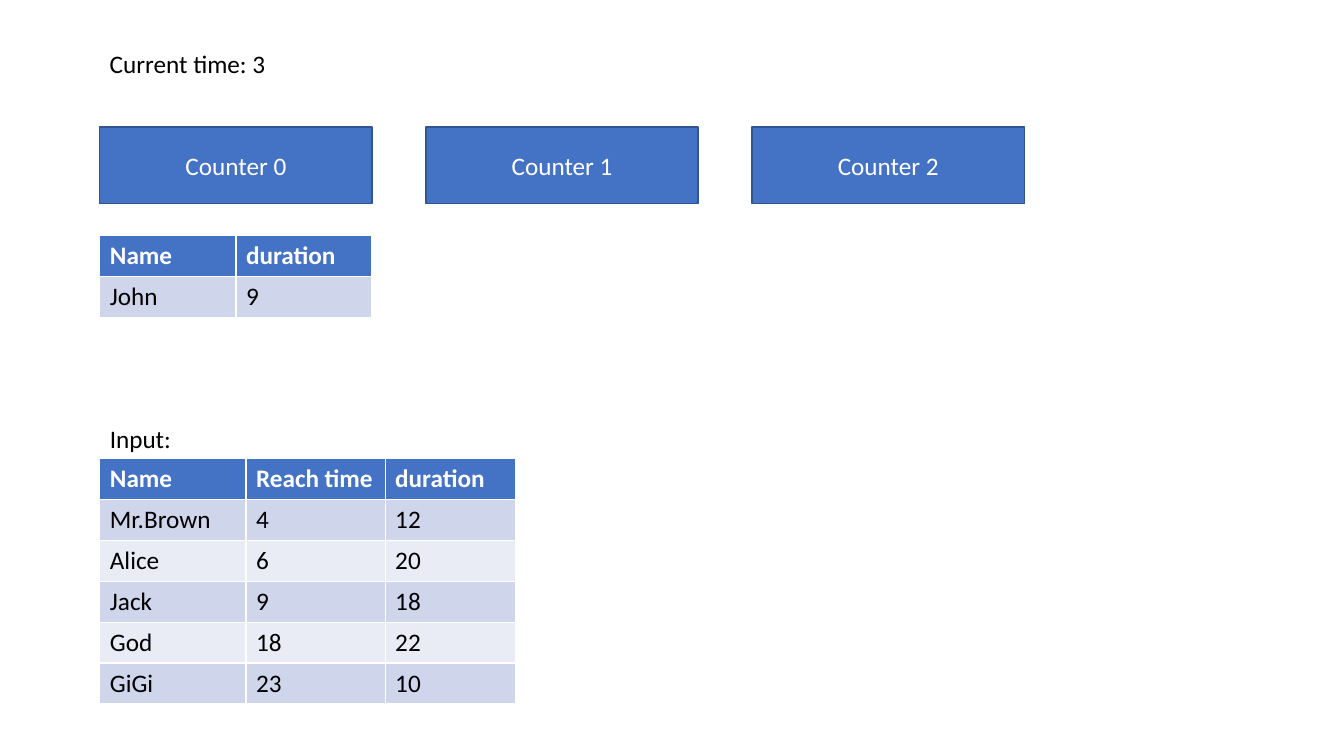
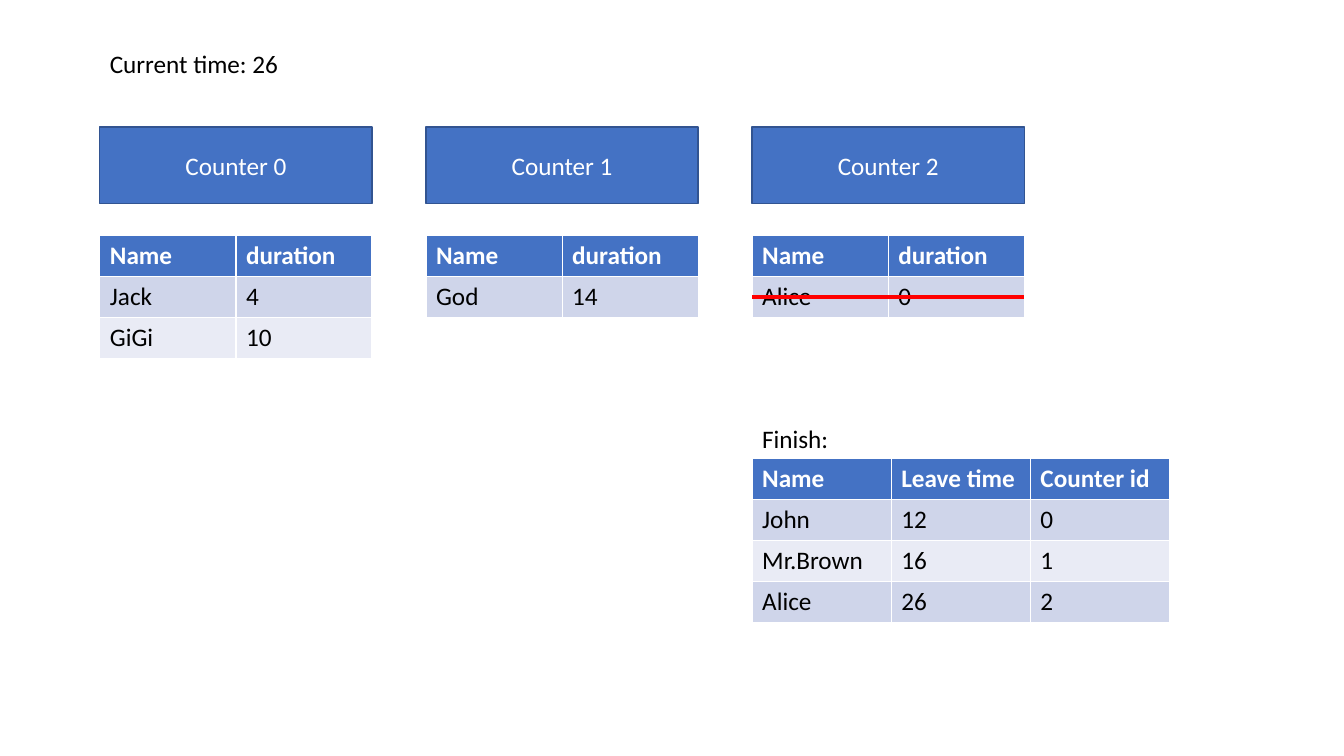
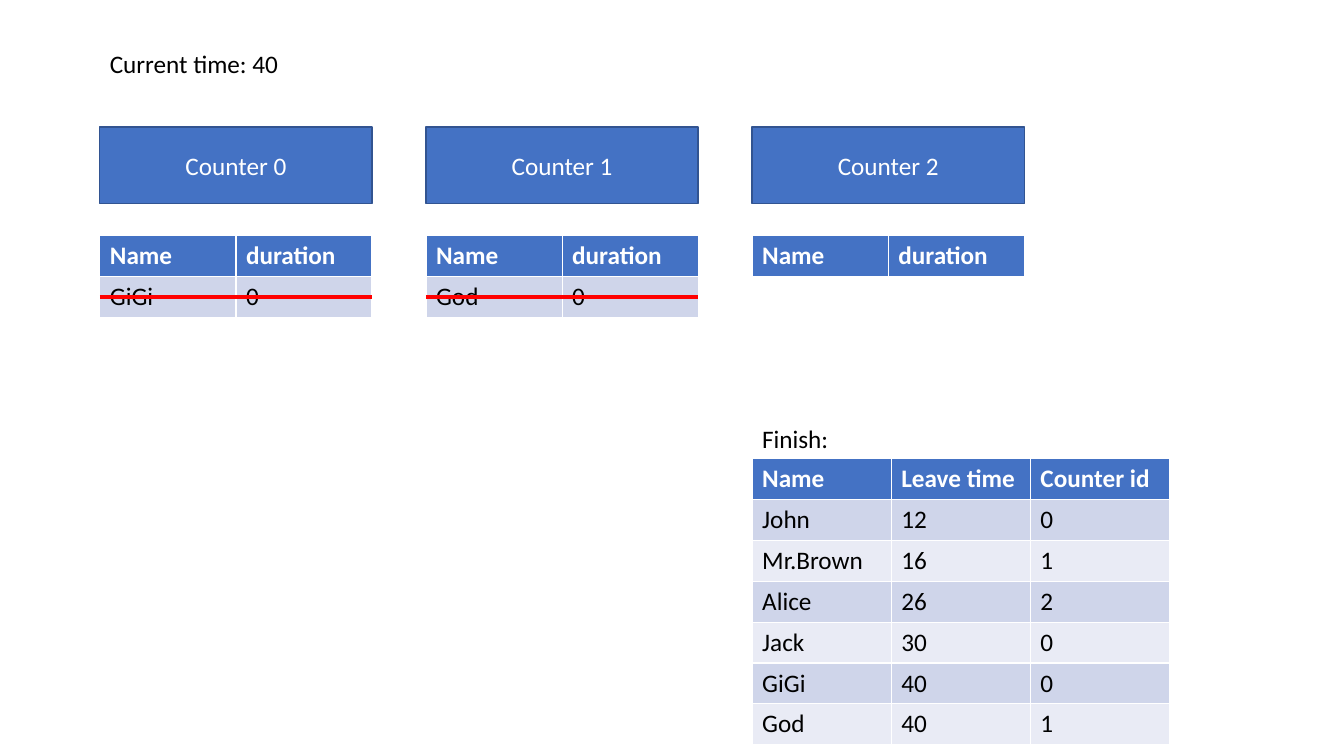
from pptx import Presentation
from pptx.dml.color import RGBColor
from pptx.enum.shapes import MSO_CONNECTOR as Connector, MSO_SHAPE as Shape
from pptx.enum.text import MSO_ANCHOR as Anchor, MSO_AUTO_SIZE as AutoSize, PP_ALIGN as Align
from pptx.oxml.ns import qn
from pptx.util import Inches, Pt
from lxml import etree

# Content: each queue is (customers, number of them struck out); None hides it
QUEUE_HEAD = ("Name", "duration")
INPUT_HEAD = ("Name", "Reach time", "duration")
FINISH_HEAD = ("Name", "Leave time", "Counter id")
ARRIVALS = [("Mr.Brown", 4, 12), ("Alice", 6, 20), ("Jack", 9, 18),
            ("God", 18, 22), ("GiGi", 23, 10)]
DEPARTURES = [("John", 12, 0), ("Mr.Brown", 16, 1), ("Alice", 26, 2),
              ("Jack", 30, 0), ("GiGi", 40, 0), ("God", 40, 1)]
MOMENTS = [
    {"time": 3, "queues": [([("John", 9)], 0), None, None]},
    {"time": 26, "queues": [([("Jack", 4), ("GiGi", 10)], 0),
                            ([("God", 14)], 0),
                            ([("Alice", 0)], 1)]},
    {"time": 40, "queues": [([("GiGi", 0)], 1), ([("God", 0)], 1), ([], 0)]},
]

# Shared look
FONT, SIZE = "Calibri", Pt(18)
BLUE, EDGE, RED = "4472C4", "325491", "FF0000"
WHITE, BLACK = "FFFFFF", "000000"
BANDS = ("CFD5EA", "E9EBF5")

# Shared layout
FIRST_LEFT, LAST_LEFT = Inches(0.99), Inches(7.46)
COUNTERS = 3
COUNTER_WIDTH = Inches(2.7)
QUEUE_TOP, LOG_TOP = Inches(2.34), Inches(4.55)
LABEL_HEIGHT = Inches(0.4)
ROW_HEIGHT = Pt(29.2)
QUEUE_WIDTHS = (1.35, 1.35)
INPUT_WIDTHS = (1.45, 1.38, 1.29)
FINISH_WIDTHS = (1.38, 1.38, 1.38)


def color(code):
    return RGBColor.from_string(code)


def write(frame, text, code, bold=False):
    frame.text = text
    font = frame.paragraphs[0].runs[0].font
    font.name, font.size, font.bold = FONT, SIZE, bold
    font.color.rgb = color(code)


def add_label(page, text, left, top, width):
    box = page.shapes.add_textbox(left, top, Inches(width), LABEL_HEIGHT)
    write(box.text_frame, text, BLACK)
    box.text_frame.word_wrap = False
    box.text_frame.auto_size = AutoSize.SHAPE_TO_FIT_TEXT


def add_counter(page, number, left):
    box = page.shapes.add_shape(Shape.RECTANGLE, left, Inches(1.26),
                                COUNTER_WIDTH, Inches(0.76))
    box.shadow.inherit = False
    box.fill.solid()
    box.fill.fore_color.rgb = color(BLUE)
    box.line.color.rgb = color(EDGE)
    box.line.width = Pt(1)
    write(box.text_frame, f"Counter {number}", WHITE)
    box.text_frame.vertical_anchor = Anchor.MIDDLE
    box.text_frame.paragraphs[0].alignment = Align.CENTER


def add_grid(page, head, rows, widths, left, top):
    """The default table style supplies the white cell borders."""
    lines = [head, *rows]
    table = page.shapes.add_table(len(lines), len(head), left, top,
                                  Inches(sum(widths)), ROW_HEIGHT * len(lines)).table
    for column, width in zip(table.columns, widths):
        column.width = Inches(width)
    for r, line in enumerate(lines):
        table.rows[r].height = ROW_HEIGHT
        is_head = r == 0
        for c, value in enumerate(line):
            cell = table.cell(r, c)
            cell.fill.solid()
            cell.fill.fore_color.rgb = color(BLUE if is_head else BANDS[(r - 1) % 2])
            write(cell.text_frame, str(value), WHITE if is_head else BLACK, is_head)


def add_strike(page, left, row):
    middle = QUEUE_TOP + int(ROW_HEIGHT * (row + 0.5))
    strike = page.shapes.add_connector(Connector.STRAIGHT, left, middle,
                                       left + COUNTER_WIDTH, middle)
    strike.line.color.rgb = color(RED)
    strike.line.width = Pt(3)
    etree.SubElement(strike._element.spPr, qn("a:effectLst"))


def add_log(page, title, title_width, head, rows, widths, left):
    add_grid(page, head, rows, widths, left, LOG_TOP)
    add_label(page, title, left, LOG_TOP - LABEL_HEIGHT, title_width)


deck = Presentation()
deck.slide_width, deck.slide_height = Inches(13.33), Inches(7.5)

for moment in MOMENTS:
    page = deck.slides.add_slide(deck.slide_layouts[6])
    now = moment["time"]
    add_label(page, f"Current time: {now}", FIRST_LEFT, Inches(0.43),
              1.77 if now < 10 else 1.89)

    # Counters with their queues
    for number, queue in enumerate(moment["queues"]):
        left = FIRST_LEFT + (LAST_LEFT - FIRST_LEFT) * number // (COUNTERS - 1)
        add_counter(page, number, left)
        if queue:
            customers, struck = queue
            add_grid(page, QUEUE_HEAD, customers, QUEUE_WIDTHS, left, QUEUE_TOP)
            for row in range(1, struck + 1):
                add_strike(page, left, row)

    # Arrivals before anyone has left, departures afterwards
    finished = [entry for entry in DEPARTURES if entry[1] <= now]
    if finished:
        add_log(page, "Finish: ", 0.92, FINISH_HEAD, finished, FINISH_WIDTHS, LAST_LEFT)
    else:
        add_log(page, "Input: ", 0.88, INPUT_HEAD, ARRIVALS, INPUT_WIDTHS, FIRST_LEFT)

deck.save("out.pptx")
